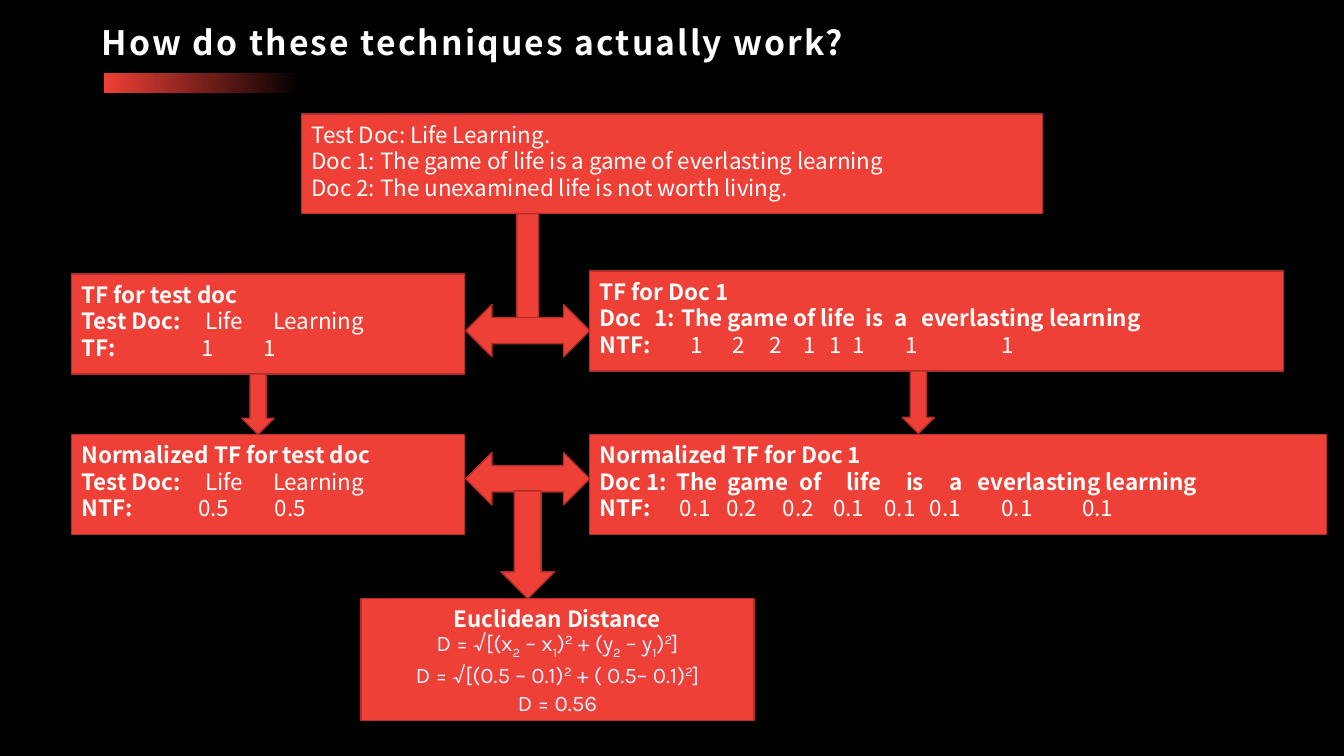
import dataclasses
import typing

import lxml.etree
import pptx
import pptx.dml.color
import pptx.enum.shapes
import pptx.enum.text
import pptx.oxml.ns
import pptx.util

WIDTH = pptx.util.Inches(13.33)
HEIGHT = pptx.util.Inches(7.5)
COLUMN = WIDTH / 100
ROW = HEIGHT / 100

RED = "EE4036"
DARK_RED = "B02F28"
WHITE = "FFFFFF"
PALE_BLUE = "E2EEFF"
BLACK = "000000"

BODY_FONT = "Noto Sans CJK JP"
TITLE_FONT = "Noto Sans CJK TC"
FORMULA_FONT = "Karla"

SHAPES = pptx.enum.shapes.MSO_SHAPE
CENTER = pptx.enum.text.PP_ALIGN.CENTER
LEFT = pptx.enum.text.PP_ALIGN.LEFT


class Area(typing.NamedTuple):
    column: float
    row: float
    columns: float
    rows: float


@dataclasses.dataclass
class Piece:
    text: str
    bold: bool | None = None
    baseline: int = 0


@dataclasses.dataclass
class Line:
    pieces: list[Piece]
    bold: bool | None = False
    tabs: tuple[float, ...] = ()
    tab_alignment: str = "l"
    font: str = BODY_FONT
    color: str = WHITE
    size: float = 16
    spacing: float = 19
    alignment: typing.Any = LEFT


@dataclasses.dataclass
class Box:
    area: Area
    lines: list[Line]
    inset: float = 0.07


@dataclasses.dataclass
class Arrow:
    kind: typing.Any
    area: Area


def color(value: str) -> pptx.dml.color.RGBColor:
    return pptx.dml.color.RGBColor.from_string(value)


def place(area: Area) -> tuple[int, int, int, int]:
    return (round(area.column * COLUMN), round(area.row * ROW),
            round(area.columns * COLUMN), round(area.rows * ROW))


def plain(text: str, bold: bool = False) -> Line:
    return Line([Piece(text)], bold)


def labelled(label: str, values: str, tabs: tuple[float, ...], tab_alignment: str = "ctr") -> Line:
    cells = "".join("\t" + value for value in values.split())
    return Line([Piece(label, True), Piece(cells, False)], None, tabs, tab_alignment)


def formula(*parts: str) -> Line:
    baselines = {"_": -25000, "^": 30000}
    pieces = [Piece(part[1:], baseline=baselines[part[0]]) if part[0] in baselines else Piece(part)
              for part in parts]
    return Line(pieces, font=FORMULA_FONT, color=PALE_BLUE, spacing=20, alignment=CENTER)


def add_tabs(paragraph: typing.Any, line: Line) -> None:
    properties = paragraph._p.get_or_add_pPr()
    tab_list = lxml.etree.SubElement(properties, pptx.oxml.ns.qn("a:tabLst"))
    for position in line.tabs:
        tab = lxml.etree.SubElement(tab_list, pptx.oxml.ns.qn("a:tab"))
        tab.set("pos", str(round(position * COLUMN)))
        tab.set("algn", line.tab_alignment)


def write_lines(shape: typing.Any, lines: list[Line], inset: float) -> None:
    frame = shape.text_frame
    frame.word_wrap = True
    frame.vertical_anchor = pptx.enum.text.MSO_ANCHOR.TOP
    frame.margin_top = pptx.util.Inches(inset)
    for index, line in enumerate(lines):
        paragraph = frame.add_paragraph() if index else frame.paragraphs[0]
        if line.tabs:
            add_tabs(paragraph, line)
        paragraph.alignment = line.alignment
        paragraph.line_spacing = pptx.util.Pt(line.spacing)
        paragraph.font.name = line.font
        paragraph.font.size = pptx.util.Pt(line.size)
        paragraph.font.bold = line.bold
        paragraph.font.color.rgb = color(line.color)
        for piece in line.pieces:
            run = paragraph.add_run()
            run.text = piece.text
            if piece.bold is not None:
                run.font.bold = piece.bold
            if piece.baseline:
                run._r.get_or_add_rPr().set("baseline", str(piece.baseline))


def add_red_shape(slide: typing.Any, kind: typing.Any, area: Area) -> typing.Any:
    shape = slide.shapes.add_shape(kind, *place(area))
    shape.shadow.inherit = False
    shape.fill.solid()
    shape.fill.fore_color.rgb = color(RED)
    shape.line.color.rgb = color(DARK_RED)
    shape.line.width = pptx.util.Pt(1)
    return shape


def add_title(slide: typing.Any) -> None:
    title = slide.shapes.add_textbox(*place(Area(6.83, 2.4, 86.33, 8.53)))
    line = Line([Piece("How do these techniques actually work?")], True,
                font=TITLE_FONT, size=24, spacing=28)
    write_lines(title, [line], 0.05)
    title.text_frame.paragraphs[0].runs[0]._r.get_or_add_rPr().set("spc", "150")

    bar = slide.shapes.add_shape(SHAPES.RECTANGLE, *place(Area(7.73, 9.6, 14.7, 2.67)))
    bar.shadow.inherit = False
    bar.line.fill.background()
    bar.fill.gradient()
    bar.fill.gradient_angle = 0
    for stop, value in zip(bar.fill.gradient_stops, (RED, BLACK)):
        stop.color.rgb = color(value)


TEST_WORDS = labelled("Test Doc:", "Life Learning", (9.23, 14.25), "l")
BOXES = [
    Box(Area(22.43, 15.07, 55.13, 13.2), [
        plain("Test Doc: Life Learning."),
        plain("Doc 1: The game of life is a game of everlasting learning"),
        plain("Doc 2: The unexamined life is not worth living."),
    ]),
    Box(Area(5.33, 36.27, 29.25, 13.2), [
        plain("TF for test doc", True),
        TEST_WORDS,
        labelled("TF:", "1 1", (9.38, 14.03)),
    ]),
    Box(Area(43.88, 35.87, 51.6, 13.2), [
        plain("TF for Doc 1", True),
        Line([Piece("Doc\t1:\tThe game of life\tis\ta\teverlasting learning")], True,
             (4.05, 6.08, 19.8, 21.9, 23.93)),
        labelled("NTF:", "1 2 2 1 1 1 1 1",
                 (7.2, 10.35, 13.13, 15.6, 17.55, 19.28, 23.18, 30.38)),
    ]),
    Box(Area(5.33, 57.47, 29.25, 13.2), [
        plain("Normalized TF for test doc", True),
        TEST_WORDS,
        labelled("NTF:", "0.5 0.5", (9.83, 15.53)),
    ]),
    Box(Area(43.88, 57.47, 54.83, 13.2), [
        plain("Normalized TF for Doc 1", True),
        Line([Piece("Doc 1:\tThe\tgame\tof\tlife\tis\ta\teverlasting learning")], True,
             (5.7, 9.53, 14.85, 18.38, 22.8, 26.03, 28.13)),
        labelled("NTF:", "0.1 0.2 0.2 0.1 0.1 0.1 0.1 0.1",
                 (7.13, 10.58, 14.78, 18.53, 22.35, 25.73, 31.05, 37.05)),
    ]),
    Box(Area(26.85, 79.2, 29.25, 16.13), [
        Line([Piece("Euclidean Distance")], True, spacing=20, alignment=CENTER),
        formula("D = √[(x", "_2", " – x", "_1", ")", "^2", " + (y", "_2", " – y", "_1", ")", "^2", "]"),
        formula("D = √[(0.5 – 0.1)", "^2", " + ( 0.5– 0.1)", "^2", "]"),
        formula("D = 0.56"),
    ], 0.05),
]
ARROWS = [
    Arrow(SHAPES.DOWN_ARROW, Area(37.65, 28.27, 3.23, 17.2)),
    Arrow(SHAPES.DOWN_ARROW, Area(18, 49.47, 2.4, 8)),
    Arrow(SHAPES.DOWN_ARROW, Area(67.13, 49.07, 2.4, 8.27)),
    Arrow(SHAPES.LEFT_RIGHT_ARROW, Area(34.65, 40.27, 9.23, 6.93)),
    Arrow(SHAPES.LEFT_RIGHT_ARROW, Area(34.65, 59.87, 9.23, 6.93)),
    Arrow(SHAPES.DOWN_ARROW, Area(37.28, 64.93, 3.98, 14.27)),
]


def main() -> None:
    presentation = pptx.Presentation()
    presentation.slide_width = WIDTH
    presentation.slide_height = HEIGHT
    slide = presentation.slides.add_slide(presentation.slide_layouts[6])
    slide.background.fill.solid()
    slide.background.fill.fore_color.rgb = color(BLACK)
    add_title(slide)
    for box in BOXES:
        write_lines(add_red_shape(slide, SHAPES.RECTANGLE, box.area), box.lines, box.inset)
    for arrow in ARROWS:
        add_red_shape(slide, arrow.kind, arrow.area)
    presentation.save("out.pptx")


if __name__ == "__main__":
    main()
